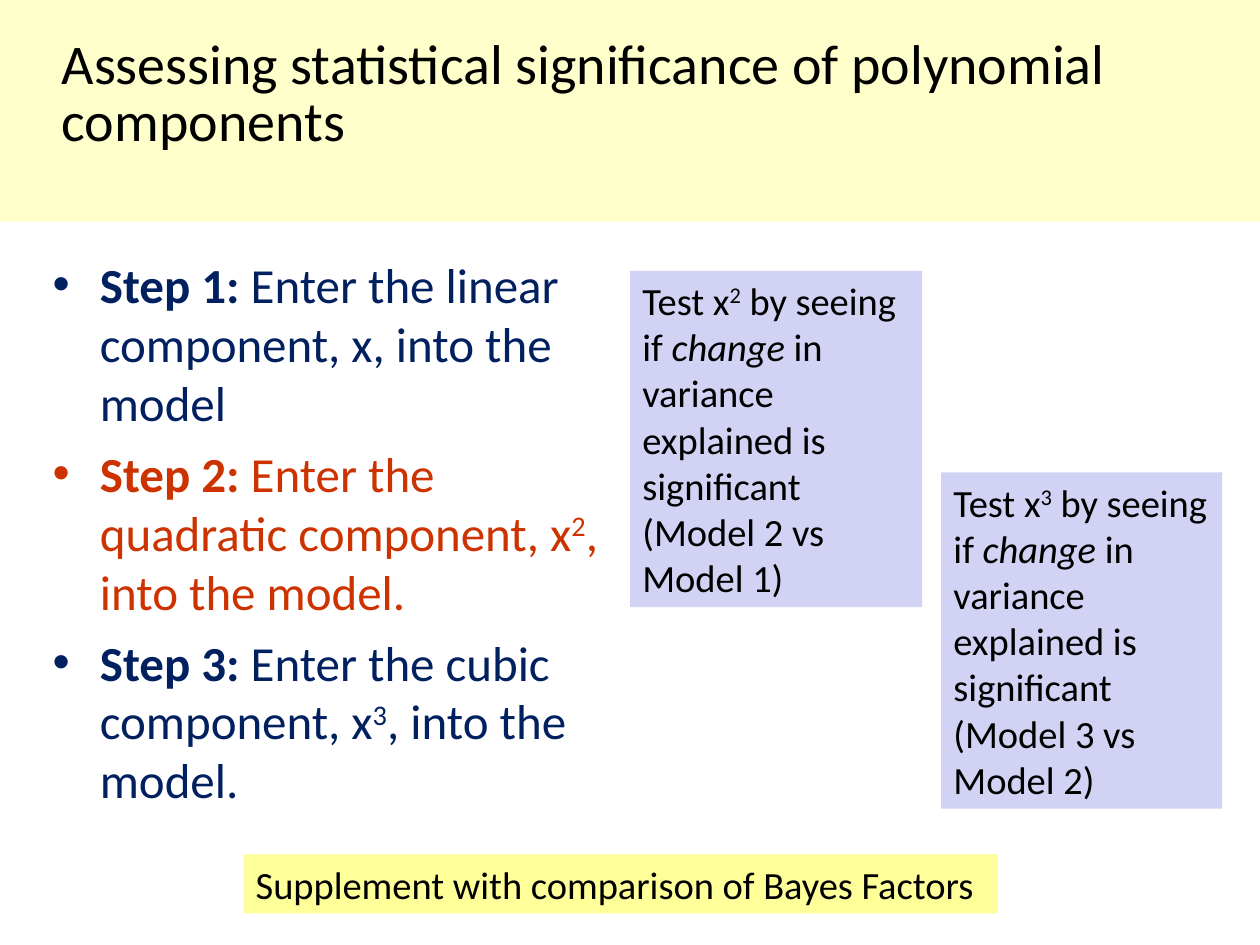
from dataclasses import dataclass

from lxml import etree
from pptx import Presentation
from pptx.dml.color import RGBColor
from pptx.enum.shapes import MSO_SHAPE
from pptx.enum.text import MSO_ANCHOR, PP_ALIGN
from pptx.oxml.ns import qn
from pptx.util import Pt

RECTANGLE = MSO_SHAPE.RECTANGLE
TOP = MSO_ANCHOR.TOP
LEFT = PP_ALIGN.LEFT
PLAIN, BOLD, ITALIC, SUPER = "plain", "bold", "italic", "super"


@dataclass(frozen=True)
class Theme:
    font: str = "Calibri"
    ink: str = "000000"
    navy: str = "002060"
    rust: str = "CC3300"
    banner: str = "FFFFCC"
    test: str = "D2D2F4"
    note: str = "FFFF99"
    title_size: int = 32
    step_size: int = 28
    box_size: int = 22


class SlideBuilder:
    def __init__(self, slide, theme):
        self.slide = slide
        self.theme = theme

    def add_runs(self, paragraph, runs, size, color):
        paragraph.alignment = LEFT
        for text, style in runs:
            run = paragraph.add_run()
            run.text = text
            run.font.name = self.theme.font
            run.font.size = Pt(size)
            run.font.color.rgb = RGBColor.from_string(color)
            run.font.bold = style == BOLD
            run.font.italic = style == ITALIC
            if style == SUPER:
                run._r.get_or_add_rPr().set("baseline", "30000")

    def paragraphs(self, frame, count):
        frame.word_wrap = True
        frame.vertical_anchor = TOP
        return [frame.paragraphs[0]] + [frame.add_paragraph() for _ in range(count - 1)]

    def box(self, bounds, fill, lines, size):
        panel = self.slide.shapes.add_shape(RECTANGLE, *map(Pt, bounds))
        panel.shadow.inherit = False
        panel.fill.solid()
        panel.fill.fore_color.rgb = RGBColor.from_string(fill)
        panel.line.fill.background()
        frame = panel.text_frame
        for paragraph, runs in zip(self.paragraphs(frame, len(lines)), lines):
            self.add_runs(paragraph, runs, size, self.theme.ink)
        return frame

    def banner(self, bounds, title):
        frame = self.box(bounds, self.theme.banner, [[(title, PLAIN)]], self.theme.title_size)
        frame.margin_left = Pt(35.3)
        frame.margin_top = Pt(22.3)
        frame.paragraphs[0].line_spacing = 0.85

    def bullet(self, paragraph, color):
        properties = paragraph._p.get_or_add_pPr()
        properties.set("marL", str(Pt(27)))
        properties.set("indent", str(-Pt(27)))
        bullet_color = etree.SubElement(properties, qn("a:buClr"))
        etree.SubElement(bullet_color, qn("a:srgbClr"), val=color)
        etree.SubElement(properties, qn("a:buFont"), typeface="Arial")
        etree.SubElement(properties, qn("a:buChar"), char="•")

    def steps(self, bounds, steps):
        frame = self.slide.shapes.add_textbox(*map(Pt, bounds)).text_frame
        for paragraph, (runs, color) in zip(self.paragraphs(frame, len(steps)), steps):
            paragraph.space_before = Pt(7)
            self.bullet(paragraph, color)
            self.add_runs(paragraph, runs, self.theme.step_size, color)


def power_step(number, component, color):
    runs = [
        (f"Step {number}: ", BOLD),
        (f"Enter the {component} component, x", PLAIN),
        (str(number), SUPER),
        (", into the model.", PLAIN),
    ]
    return runs, color


def power_test(power):
    return [
        [
            ("Test x", PLAIN),
            (str(power), SUPER),
            (" by seeing if ", PLAIN),
            ("change", ITALIC),
            (" in variance explained is significant", PLAIN),
        ],
        [(f"(Model {power} vs Model {power - 1})", PLAIN)],
    ]


def main():
    theme = Theme()
    deck = Presentation()
    deck.slide_width, deck.slide_height = Pt(720), Pt(540)
    builder = SlideBuilder(deck.slides.add_slide(deck.slide_layouts[6]), theme)

    builder.banner(
        (0, 0, 720, 126.7),
        "Assessing statistical significance of polynomial components",
    )
    linear_step = [
        ("Step 1: ", BOLD),
        ("Enter the linear component, x, into the model", PLAIN),
    ]
    builder.steps(
        (23, 142, 326, 362.6),
        [
            (linear_step, theme.navy),
            power_step(2, "quadratic", theme.rust),
            power_step(3, "cubic", theme.navy),
        ],
    )
    test_bounds = {2: (360, 154.8, 167, 192.2), 3: (537.8, 270, 160.6, 192.2)}
    for power, bounds in test_bounds.items():
        builder.box(bounds, theme.test, power_test(power), theme.box_size)
    builder.box(
        (139, 488.2, 431.3, 33.8),
        theme.note,
        [[("Supplement with comparison of Bayes Factors", PLAIN)]],
        theme.box_size,
    )
    deck.save("out.pptx")


if __name__ == "__main__":
    main()
